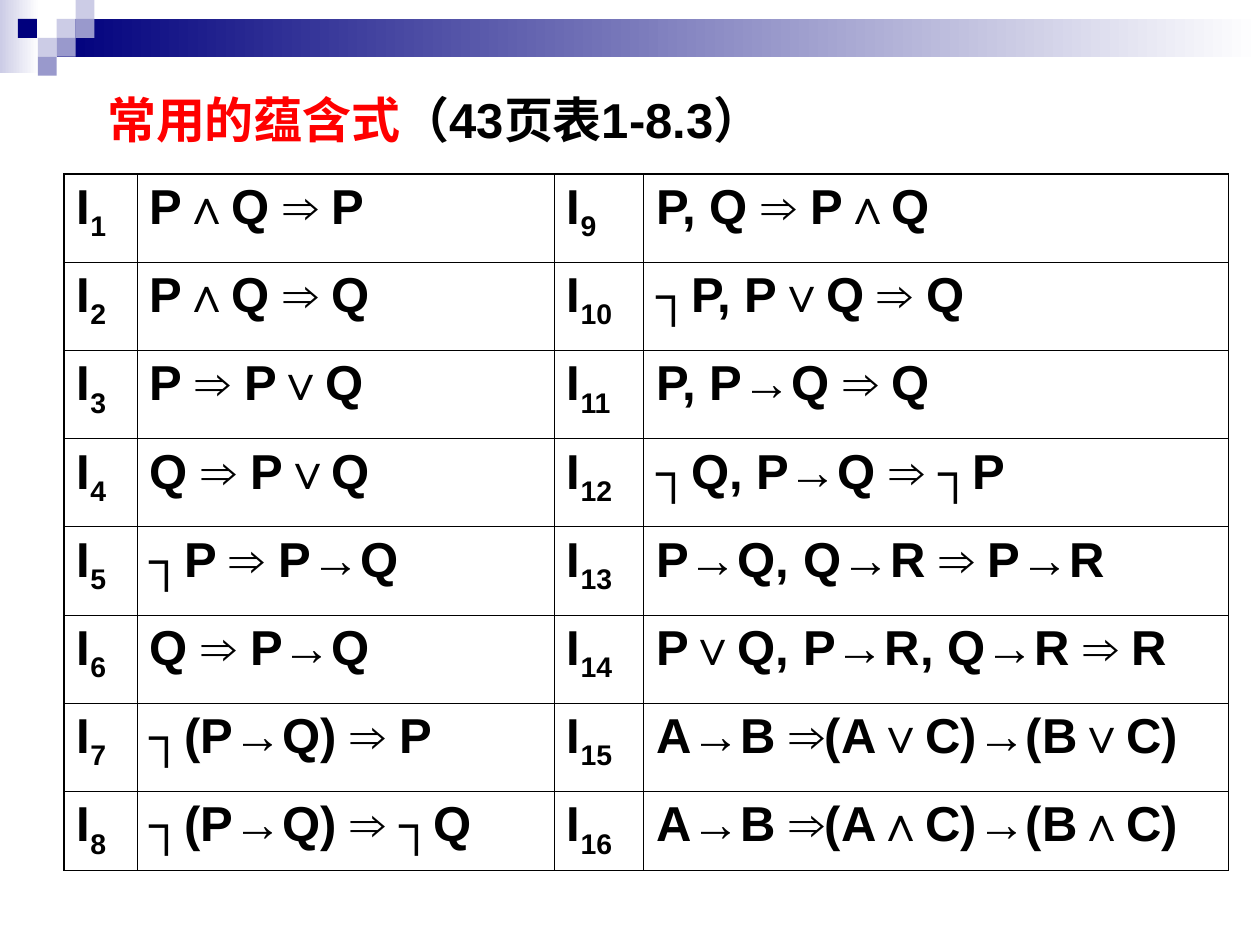
from lxml.etree import SubElement
from pptx import Presentation
from pptx.dml.color import RGBColor
from pptx.enum.lang import MSO_LANGUAGE_ID
from pptx.enum.shapes import MSO_SHAPE
from pptx.enum.text import MSO_ANCHOR, PP_ALIGN
from pptx.oxml.ns import qn
from pptx.util import Inches, Pt

NAVY, LILAC, VIOLET = "00007D", "CCCCE6", "9999CC"
BLACK, RED, WHITE = "000000", "FF0000", "FFFFFF"


def paint(color, value):
    color.rgb = RGBColor.from_string(value)


def add_run(p, text, color=BLACK, baseline=None):
    r = p.add_run()
    r.text = text
    r.font.name = "Arial"
    r.font.size = Pt(28)
    r.font.bold = True
    r.font.language_id = MSO_LANGUAGE_ID.SIMPLIFIED_CHINESE
    paint(r.font.color, color)
    if baseline:
        r.font._element.set("baseline", str(baseline))


prs = Presentation()
prs.slide_width, prs.slide_height = Inches(10), Inches(7.5)
s = prs.slides.add_slide(prs.slide_layouts[5])
unit = prs.slide_height // 50

decorations = [
    (0, 0, 2.07, 3.87, (LILAC, WHITE)),
    (3, 1, 63.67, 2, (NAVY, WHITE)),
    (3, 1, 1, 1, LILAC),
    (4, 0, 1, 1, LILAC),
    (4, 1, 1, 1, VIOLET),
    (2, 2, 1, 1, LILAC),
    (0.95, 1, 1, 1, NAVY),
    (3, 2, 1, 1, VIOLET),
    (2, 3, 1, 1, VIOLET),
]
for *box, color in decorations:
    sp = s.shapes.add_shape(MSO_SHAPE.RECTANGLE, *(int(v * unit) for v in box))
    sp.shadow.inherit = False
    sp.line.fill.background()
    if isinstance(color, tuple):
        sp.fill.gradient()
        sp.fill.gradient_angle = 0
        for stop, value, position in zip(sp.fill.gradient_stops, color, (0, 1)):
            paint(stop.color, value)
            stop.position = position
    else:
        sp.fill.solid()
        paint(sp.fill.fore_color, color)

title = s.shapes.title
title.left, title.top = Inches(0.75), Inches(0.66)
title.width, title.height = Inches(7.4), Inches(0.57)
tf = title.text_frame
tf.word_wrap = True
tf.vertical_anchor = MSO_ANCHOR.TOP
p = tf.paragraphs[0]
p.alignment = PP_ALIGN.LEFT
add_run(p, "常用的蕴含式", RED)
add_run(p, "（43页表1-8.3）")

formulas = [
    "P∧Q ⇒ P", "P∧Q ⇒ Q", "P ⇒ P∨Q", "Q ⇒ P∨Q",
    "┐P ⇒ P→Q", "Q ⇒ P→Q", "┐(P→Q) ⇒ P", "┐(P→Q) ⇒ ┐Q",
    "P, Q ⇒ P∧Q", "┐P, P∨Q ⇒ Q", "P, P→Q ⇒ Q", "┐Q, P→Q ⇒ ┐P",
    "P→Q, Q→R ⇒ P→R", "P∨Q, P→R, Q→R ⇒ R",
    "A→B ⇒(A∨C)→(B∨C)", "A→B ⇒(A∧C)→(B∧C)",
]
widths = [0.58, 3.31, 0.71, 4.64]
heights = [0.7] * 7 + [0.63]
rows, cols = len(heights), len(widths)
table = s.shapes.add_table(rows, cols, Inches(0.51), Inches(1.38),
                           Inches(sum(widths)), Inches(sum(heights))).table
table.first_row = table.horz_banding = False
for column, width in zip(table.columns, widths):
    column.width = Inches(width)
for row, height in zip(table.rows, heights):
    row.height = Inches(height)

for i in range(rows):
    for j in range(cols):
        cell = table.cell(i, j)
        number = i + 1 + rows * (j // 2)
        p = cell.text_frame.paragraphs[0]
        p.space_before = Pt(7)
        if j % 2 == 0:
            add_run(p, "I")
            add_run(p, str(number), baseline=-25000)
        else:
            add_run(p, formulas[number - 1])
        tcPr = cell._tc.get_or_add_tcPr()
        edges = {"L": j == 0, "R": j == cols - 1, "T": i == 0, "B": i == rows - 1}
        for side, outer in edges.items():
            ln = SubElement(tcPr, qn(f"a:ln{side}"), w=str(Pt(1.08 if outer else 0.45)))
            SubElement(SubElement(ln, qn("a:solidFill")), qn("a:srgbClr"), val=BLACK)
        cell.fill.background()

prs.save("out.pptx")
